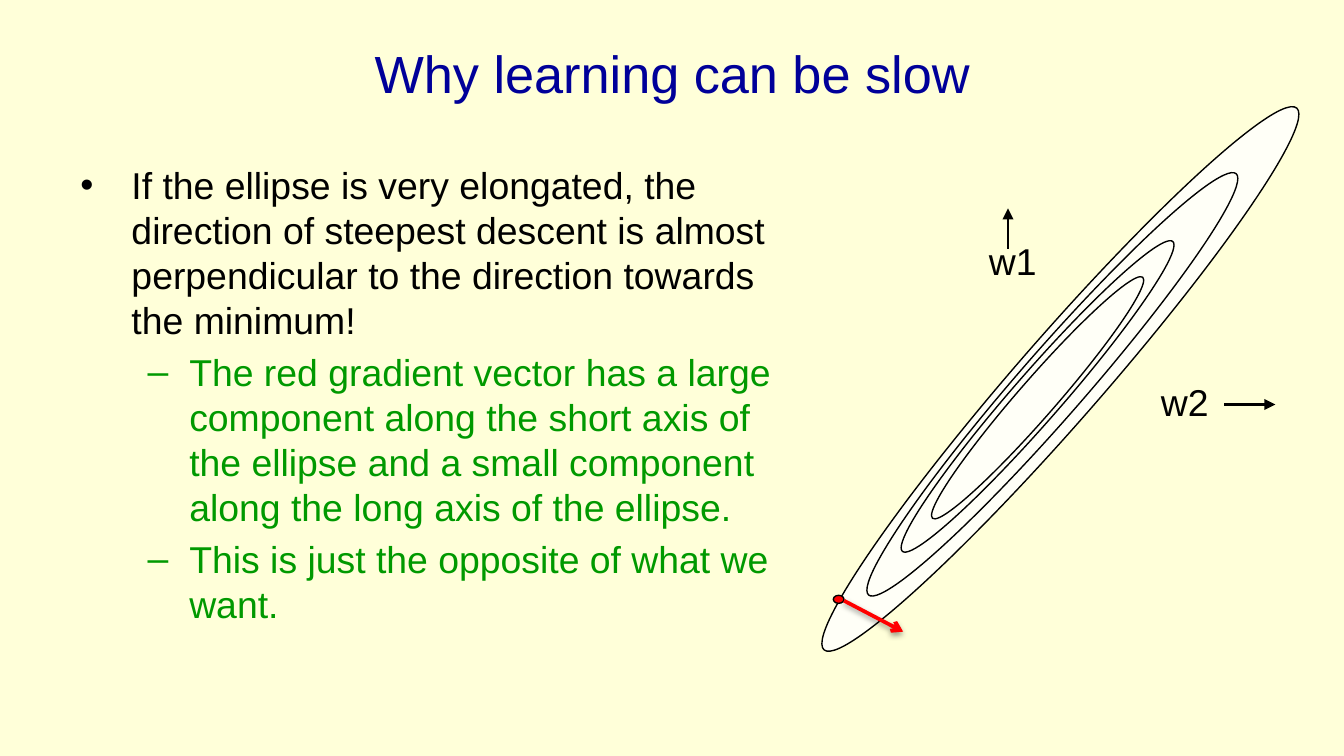
from dataclasses import dataclass

from lxml.etree import SubElement
from pptx import Presentation
from pptx.dml.color import RGBColor
from pptx.enum.shapes import MSO_CONNECTOR, MSO_SHAPE
from pptx.enum.text import MSO_ANCHOR, MSO_AUTO_SIZE, PP_ALIGN
from pptx.oxml.ns import qn
from pptx.util import Inches, Pt


@dataclass(frozen=True)
class Theme:
    font: str = "Arial"
    background: str = "FFFFD9"
    title: str = "000099"
    text: str = "000000"
    detail: str = "009900"
    contour: str = "FFFFF7"
    gradient: str = "FF0000"
    title_size: int = 28
    body_size: int = 20


THEME = Theme()


def rgb(color):
    return RGBColor.from_string(color)


def add_run(p, text, size, color):
    r = p.add_run()
    r.text = text
    r.font.name = THEME.font
    r.font.size = Pt(size)
    r.font.color.rgb = rgb(color)


def add_title(s, box, text):
    sp = s.shapes.title
    sp.left, sp.top, sp.width, sp.height = map(Inches, box)
    tf = sp.text_frame
    tf.vertical_anchor = MSO_ANCHOR.MIDDLE
    p = tf.paragraphs[0]
    p.alignment = PP_ALIGN.CENTER
    add_run(p, text, THEME.title_size, THEME.title)


def add_bullets(s, box, items):
    styles = [("•", 0.38, 0.38, THEME.text), ("–", 0.81, 0.31, THEME.detail)]
    tf = s.shapes.add_textbox(*map(Inches, box)).text_frame
    tf.word_wrap = True
    for i, (level, text) in enumerate(items):
        mark, margin, hanging, color = styles[level]
        p = tf.paragraphs[0] if i == 0 else tf.add_paragraph()
        p.level = level
        p.space_before = Pt(0.2 * THEME.body_size)
        pPr = p._p.get_or_add_pPr()
        pPr.set("marL", str(Inches(margin)))
        pPr.set("indent", str(-Inches(hanging)))
        SubElement(pPr, qn("a:buFont"), typeface=THEME.font)
        SubElement(pPr, qn("a:buChar"), char=mark)
        add_run(p, text, THEME.body_size, color)


def add_ellipse(s, center, size, fill, rotation=0):
    (x, y), (w, h) = center, size
    sp = s.shapes.add_shape(
        MSO_SHAPE.OVAL, Inches(x - w / 2), Inches(y - h / 2), Inches(w), Inches(h))
    sp.rotation = rotation
    sp.shadow.inherit = False
    sp.fill.solid()
    sp.fill.fore_color.rgb = rgb(fill)
    sp.line.color.rgb = rgb(THEME.text)
    sp.line.width = Pt(0.75)


def add_arrow(s, start, end, color, width, head="triangle", shadow=False):
    cxn = s.shapes.add_connector(MSO_CONNECTOR.STRAIGHT, *map(Inches, start + end))
    cxn.line.color.rgb = rgb(color)
    cxn.line.width = Pt(width)
    SubElement(cxn.line._get_or_add_ln(), qn("a:tailEnd"), type=head)
    effects = SubElement(cxn._element.spPr, qn("a:effectLst"))
    if shadow:
        outer = SubElement(
            effects, qn("a:outerShdw"), blurRad=str(Pt(3.1)), dist=str(Pt(1.6)),
            dir="5400000", rotWithShape="0")
        tint = SubElement(outer, qn("a:srgbClr"), val=THEME.text)
        SubElement(tint, qn("a:alpha"), val="38000")


def add_axis_label(s, x, y, text):
    tf = s.shapes.add_textbox(
        Inches(x), Inches(y), Inches(0.57), Inches(0.44)).text_frame
    tf.word_wrap = False
    tf.auto_size = MSO_AUTO_SIZE.SHAPE_TO_FIT_TEXT
    add_run(tf.paragraphs[0], text, THEME.body_size, THEME.text)


def add_error_surface(s, box):
    left, top, width, height = box

    def at(x, y):
        return left + x, top + y

    contours = [(1.79, 2.04, 0.63, 5.35), (1.73, 2.08, 0.49, 4.16),
                (1.62, 2.17, 0.36, 3.06), (1.62, 2.18, 0.28, 2.38)]
    for x, y, thickness, length in contours:
        add_ellipse(s, at(x, y), (thickness, length), THEME.contour, 41.1)
    add_ellipse(s, at(0.14, 3.68), (0.08, 0.06), THEME.gradient)

    add_axis_label(s, *at(1.16, 0.94), "w1")
    add_arrow(s, at(1.4, 1.07), at(1.4, 0.77), THEME.text, 1.5)
    add_axis_label(s, *at(2.44, 1.99), "w2")
    add_arrow(s, at(3.01, 2.23), at(3.39, 2.23), THEME.text, 1.5)
    add_arrow(s, at(0.18, 3.69), at(0.62, 3.92), THEME.gradient, 2, "arrow", True)


def main():
    prs = Presentation()
    prs.slide_width = Inches(10)
    prs.slide_height = prs.slide_width * 9 // 16
    s = prs.slides.add_slide(prs.slide_layouts[5])
    s.background.fill.solid()
    s.background.fill.fore_color.rgb = rgb(THEME.background)

    add_title(s, (0.5, 0.07, 9, 0.94), "Why learning can be slow")
    add_bullets(s, (0.5, 1.16, 5.48, 4.02), [
        (0, "If the ellipse is very elongated, the direction of steepest descent "
            "is almost perpendicular to the direction towards the minimum!"),
        (1, "The red gradient vector has a large component along the short axis of "
            "the ellipse and a small component along the long axis of the ellipse."),
        (1, "This is just the opposite of what we want."),
    ])
    add_error_surface(s, (6.1, 0.78, 3.6, 4.1))
    prs.save("out.pptx")


if __name__ == "__main__":
    main()
